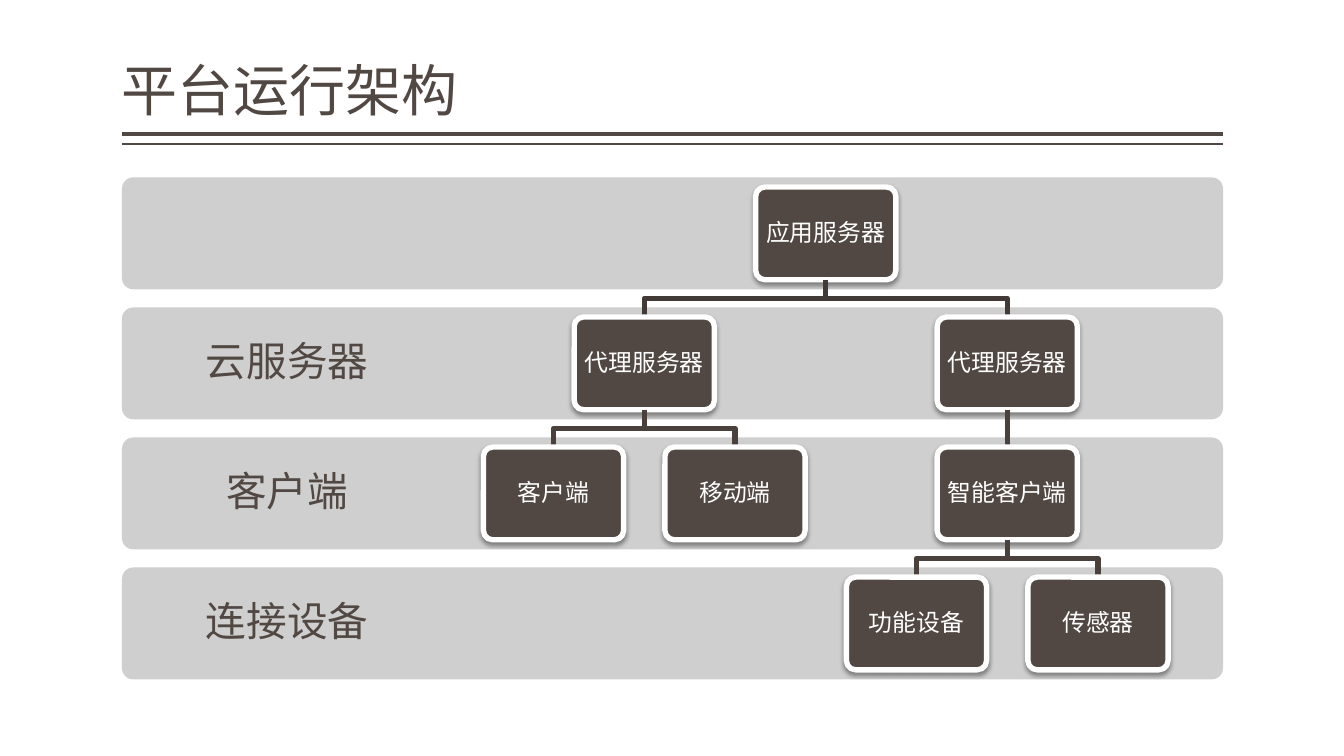
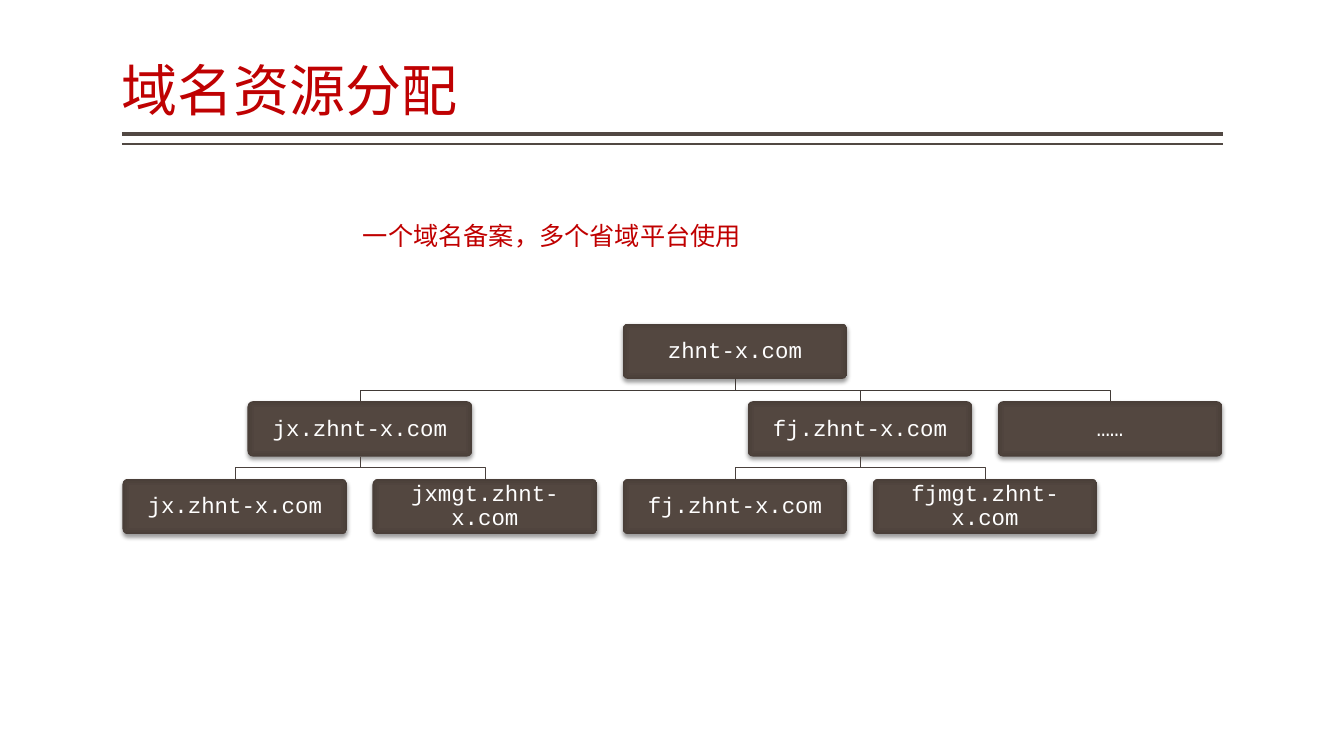
"""Build a platform architecture slide and a domain name tree slide."""
from dataclasses import dataclass
from typing import Optional

from lxml.etree import SubElement
from pptx import Presentation
from pptx.dml.color import RGBColor
from pptx.enum.shapes import MSO_CONNECTOR as Connector, MSO_SHAPE as Preset
from pptx.enum.text import MSO_ANCHOR as Anchor, PP_ALIGN as Align
from pptx.oxml import parse_xml
from pptx.oxml.ns import nsdecls, qn
from pptx.shapes.autoshape import Shape
from pptx.shapes.connector import Connector as ConnectorShape
from pptx.slide import Slide
from pptx.util import Inches, Pt


@dataclass(frozen=True)
class Theme:
    """Colours, fonts and type sizes of the deck."""
    brown: str = "514843"
    white: str = "FFFFFF"
    band: str = "D0CFCF"
    title_red: str = "BF0102"
    note_red: str = "C00000"
    gradient: tuple = ((0, "544740"), (71, "534740"), (100, "4A3F39"))
    branches: tuple = ("413A36", "4A413D")
    cjk_font: str = "Noto Sans CJK SC"
    note_font: str = "Arial"
    code_font: str = "Courier New"
    title_size: int = 40
    band_size: int = 29
    node_size: int = 17
    note_size: int = 18
    domain_size: int = 16
    corner: float = 0.1


@dataclass(frozen=True)
class Box:
    """A rectangle in inches."""
    left: float
    top: float
    width: float
    height: float

    def emu(self) -> tuple:
        """Return the four lengths as slide units."""
        return tuple(Inches(n) for n in (self.left, self.top, self.width, self.height))


@dataclass(frozen=True)
class TextStyle:
    """How the text of a box looks and sits."""
    size: int
    color: str
    font: str
    align: Align = Align.LEFT
    anchor: Anchor = Anchor.TOP
    insets: tuple = (0.1, 0.05)
    spacing: float = 0.9
    wrap: bool = True


@dataclass(frozen=True)
class Node:
    """A tree box in a grid column, with the boxes below it."""
    label: str
    column: int
    children: tuple = ()


@dataclass(frozen=True)
class TreeStyle:
    """Grid, box size and look of a tree."""
    first_center: float
    first_top: float
    column_pitch: float
    row_pitch: float
    width: float
    height: float
    text: TextStyle
    branch_width: float
    shadow_blur: float
    border: Optional[float] = None

    def center(self, node: Node) -> float:
        """Return the middle of the node's column."""
        return self.first_center + node.column * self.column_pitch

    def top(self, row: int) -> float:
        """Return the top of a row of boxes."""
        return self.first_top + row * self.row_pitch


THEME = Theme()
SLIDE = Box(0, 0, 13.33, 7.5)
MARGIN = 1.21
CONTENT_WIDTH = 10.92
RULES = ((1.33, 3), (1.43, 1))
BAND_TOP, BAND_PITCH, BAND_HEIGHT = 1.76, 1.29, 1.11
BAND_LABEL_SHARE = 0.3
BAND_LABELS = ("", "云服务器", "客户端", "连接设备")
NODE_HEIGHT = 0.92


def node_text(size: int, font: str) -> TextStyle:
    """Return the centred white style of tree boxes."""
    return TextStyle(size, THEME.white, font, Align.CENTER, Anchor.MIDDLE, (0.06, 0.06))


BAND_TEXT = TextStyle(THEME.band_size, THEME.brown, THEME.cjk_font,
                      Align.CENTER, Anchor.MIDDLE, (0.23, 0.23))
NOTE_TEXT = TextStyle(THEME.note_size, THEME.note_red, THEME.note_font,
                      spacing=1.0, wrap=False)
SERVER_STYLE = TreeStyle(
    5.49, BAND_TOP + (BAND_HEIGHT - NODE_HEIGHT) / 2, 0.9, BAND_PITCH, 1.39, NODE_HEIGHT,
    node_text(THEME.node_size, THEME.cjk_font), 3.78, 3.5, border=3.82)
DOMAIN_STYLE = TreeStyle(
    2.33, 3.21, 1.24, 0.77, 2.23, 0.55,
    node_text(THEME.domain_size, THEME.code_font), 0.5, 3.1)

SERVER_TREE = Node("应用服务器", 3, (
    Node("代理服务器", 1, (Node("客户端", 0), Node("移动端", 2))),
    Node("代理服务器", 5, (
        Node("智能客户端", 5, (Node("功能设备", 4), Node("传感器", 6))),
    )),
))
DOMAIN_TREE = Node("zhnt-x.com", 4, (
    Node("jx.zhnt-x.com", 1, (Node("jx.zhnt-x.com", 0), Node("jxmgt.zhnt-x.com", 2))),
    Node("fj.zhnt-x.com", 5, (Node("fj.zhnt-x.com", 4), Node("fjmgt.zhnt-x.com", 6))),
    Node("……", 7),
))


def rgb(color: str) -> RGBColor:
    """Turn a hex string into a colour."""
    return RGBColor.from_string(color)


def write(shape: Shape, text: str, style: TextStyle) -> None:
    """Put one styled paragraph into a shape."""
    frame = shape.text_frame
    frame.word_wrap = style.wrap
    frame.vertical_anchor = style.anchor
    side, edge = (Inches(inset) for inset in style.insets)
    frame.margin_left = frame.margin_right = side
    frame.margin_top = frame.margin_bottom = edge
    paragraph = frame.paragraphs[0]
    paragraph.text = text
    paragraph.alignment = style.align
    paragraph.line_spacing = style.spacing
    font = paragraph.font
    font.size = Pt(style.size)
    font.name = style.font
    font.color.rgb = rgb(style.color)
    properties = paragraph._p.pPr.find(qn("a:defRPr"))
    SubElement(properties, qn("a:ea"), typeface=THEME.cjk_font)


def add_text(slide: Slide, box: Box, text: str, style: TextStyle) -> None:
    """Add a text box."""
    write(slide.shapes.add_textbox(*box.emu()), text, style)


def add_line(slide: Slide, start: tuple, end: tuple, color: str,
             width: float) -> ConnectorShape:
    """Add a straight line without a shadow."""
    ends = (Inches(length) for length in (*start, *end))
    line = slide.shapes.add_connector(Connector.STRAIGHT, *ends)
    line.line.color.rgb = rgb(color)
    line.line.width = Pt(width)
    SubElement(line._element.spPr, qn("a:effectLst"))
    return line


def add_rounded(slide: Slide, box: Box) -> Shape:
    """Add a rounded rectangle without line or shadow."""
    shape = slide.shapes.add_shape(Preset.ROUNDED_RECTANGLE, *box.emu())
    shape.adjustments[0] = THEME.corner
    shape.line.fill.background()
    shape.shadow.inherit = False
    return shape


def fill_gradient(shape: Shape) -> None:
    """Fill a shape from its centre outwards."""
    stops = "".join(f'<a:gs pos="{share * 1000}"><a:srgbClr val="{color}"/></a:gs>'
                    for share, color in THEME.gradient)
    fill = parse_xml(
        f'<a:gradFill {nsdecls("a")} rotWithShape="1"><a:gsLst>{stops}</a:gsLst>'
        '<a:path path="rect"><a:fillToRect l="50000" t="50000" r="50000" b="50000"/>'
        '</a:path></a:gradFill>')
    shape._element.spPr.find(qn("a:prstGeom")).addnext(fill)


def cast_shadow(shape: Shape, blur: float) -> None:
    """Give a shape a soft shadow straight below."""
    effects = shape._element.spPr.find(qn("a:effectLst"))
    effects.append(parse_xml(
        f'<a:outerShdw {nsdecls("a")} blurRad="{Pt(blur)}" dist="{Pt(2)}" dir="5400000" '
        'algn="ctr" rotWithShape="0"><a:srgbClr val="000000"><a:alpha val="38000"/>'
        '</a:srgbClr></a:outerShdw>'))


def add_node(slide: Slide, node: Node, row: int, style: TreeStyle) -> Shape:
    """Add one tree box."""
    left = style.center(node) - style.width / 2
    shape = add_rounded(slide, Box(left, style.top(row), style.width, style.height))
    if style.border is None:
        fill_gradient(shape)
    else:
        shape.fill.solid()
        shape.fill.fore_color.rgb = rgb(THEME.brown)
        shape.line.color.rgb = rgb(THEME.white)
        shape.line.width = Pt(style.border)
    cast_shadow(shape, style.shadow_blur)
    write(shape, node.label, style.text)
    return shape


def add_elbow(slide: Slide, start: tuple, end: tuple, color: str, width: float) -> None:
    """Add a branch that turns halfway down."""
    middle = (start[1] + end[1]) / 2
    points = [(Inches(x), Inches(y))
              for x, y in (start, (start[0], middle), (end[0], middle), end)]
    builder = slide.shapes.build_freeform(*points[0])
    builder.add_line_segments(points[1:], close=False)
    branch = builder.convert_to_shape()
    branch.fill.background()
    branch.line.color.rgb = rgb(color)
    branch.line.width = Pt(width)
    branch.shadow.inherit = False


def add_tree(slide: Slide, node: Node, style: TreeStyle, row: int = 0) -> Shape:
    """Add a node and everything below it."""
    shape = add_node(slide, node, row, style)
    color = THEME.branches[min(row, 1)]
    start = (style.center(node), style.top(row) + style.height)
    for child in node.children:
        end = (style.center(child), style.top(row + 1))
        if child.column == node.column:
            line = add_line(slide, start, end, color, style.branch_width)
            line.begin_connect(shape, 2)
            line.end_connect(add_tree(slide, child, style, row + 1), 0)
        else:
            add_elbow(slide, start, end, color, style.branch_width)
            add_tree(slide, child, style, row + 1)
    return shape


def add_bands(slide: Slide) -> None:
    """Add the labelled layer bands."""
    for row, label in enumerate(BAND_LABELS):
        top = BAND_TOP + row * BAND_PITCH
        band = add_rounded(slide, Box(MARGIN, top, CONTENT_WIDTH, BAND_HEIGHT))
        band.fill.solid()
        band.fill.fore_color.rgb = rgb(THEME.band)
        if label:
            width = CONTENT_WIDTH * BAND_LABEL_SHARE
            add_text(slide, Box(MARGIN, top, width, BAND_HEIGHT), label, BAND_TEXT)


def add_titled_slide(presentation: Presentation, title: str, color: str) -> Slide:
    """Add a blank slide with the double rule and a title."""
    slide = presentation.slides.add_slide(presentation.slide_layouts[6])
    for height, width in RULES:
        add_line(slide, (MARGIN, height), (MARGIN + CONTENT_WIDTH, height),
                 THEME.brown, width)
    style = TextStyle(THEME.title_size, color, THEME.cjk_font,
                      anchor=Anchor.BOTTOM, insets=(0, 0.05))
    add_text(slide, Box(MARGIN, 0.08, CONTENT_WIDTH, 1.2), title, style)
    return slide


def main() -> None:
    """Build and save the deck."""
    presentation = Presentation()
    presentation.slide_width = Inches(SLIDE.width)
    presentation.slide_height = Inches(SLIDE.height)

    architecture = add_titled_slide(presentation, "平台运行架构", THEME.brown)
    add_bands(architecture)
    add_tree(architecture, SERVER_TREE, SERVER_STYLE)

    domains = add_titled_slide(presentation, "域名资源分配", THEME.title_red)
    add_tree(domains, DOMAIN_TREE, DOMAIN_STYLE)
    add_text(domains, Box(3.5, 2.14, 3.99, 0.4), "一个域名备案，多个省域平台使用", NOTE_TEXT)

    presentation.save("out.pptx")


if __name__ == "__main__":
    main()
